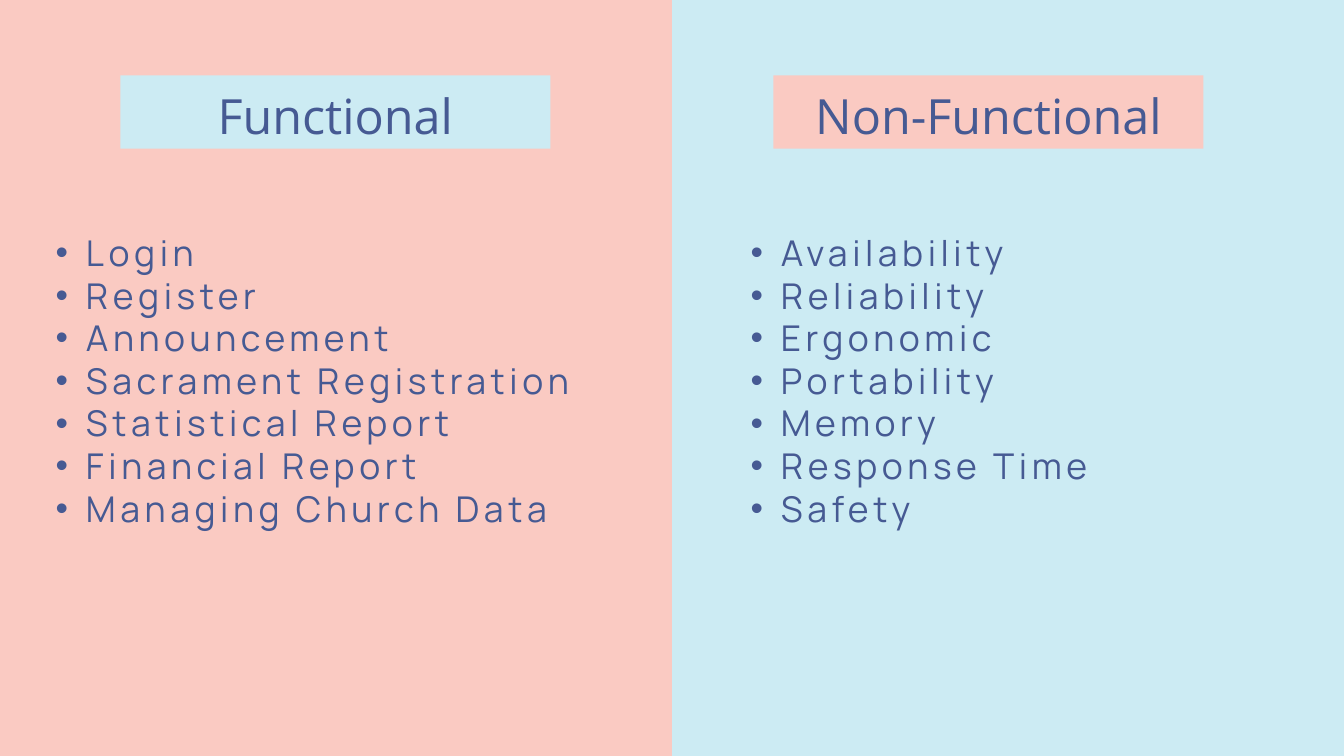
from lxml.etree import SubElement
from pptx import Presentation
from pptx.dml.color import RGBColor
from pptx.enum.shapes import MSO_SHAPE
from pptx.enum.text import MSO_ANCHOR, MSO_AUTO_SIZE, PP_ALIGN
from pptx.oxml.ns import qn
from pptx.util import Inches, Pt

PINK, BLUE, INK = "FACAC2", "CCEBF3", "465A93"
HEAD = {"name": "Open Sans", "size": Pt(52)}
ITEM = {"name": "Manrope", "size": Pt(38)}
FRAME = {
    "margin_left": 0, "margin_top": 0, "margin_right": 0, "margin_bottom": 0,
    "word_wrap": True, "auto_size": MSO_AUTO_SIZE.SHAPE_TO_FIT_TEXT,
    "vertical_anchor": MSO_ANCHOR.TOP,
}


def color(code):
    return RGBColor.from_string(code)


def apply(item, style):
    for name, value in style.items():
        setattr(item, name, value)


def add_rect(slide, box, code):
    rect = slide.shapes.add_shape(MSO_SHAPE.RECTANGLE, *map(Inches, box))
    rect.shadow.inherit = False
    rect.fill.solid()
    rect.fill.fore_color.rgb = color(code)
    rect.line.fill.background()


def add_text(slide, box, lines, style, lead, align):
    frame = slide.shapes.add_textbox(*map(Inches, box)).text_frame
    apply(frame, FRAME)
    for index, line in enumerate(lines):
        para = frame.paragraphs[0] if index == 0 else frame.add_paragraph()
        apply(para, {"alignment": align, "line_spacing": Pt(lead)})
        run = para.add_run()
        run.text = line
        apply(run.font, style)
        run.font.color.rgb = color(INK)
    return frame


def add_title(slide, box, title, wide, code):
    left, top, width, height = box
    add_rect(slide, box, code)
    spot = (left + (width - wide) / 2, top + 0.01, wide, 0.97)
    add_text(slide, spot, [title], HEAD, 72.8, PP_ALIGN.CENTER)


def add_list(slide, box, items):
    frame = add_text(slide, box, items, ITEM, 45.6, PP_ALIGN.LEFT)
    for para in frame.paragraphs:
        para.level = 1
        props = para._p.get_or_add_pPr()
        props.set("marL", str(Inches(0.9)))
        props.set("indent", str(Inches(-0.45)))
        SubElement(props, qn("a:buFont")).set("typeface", "Arial")
        SubElement(props, qn("a:buChar")).set("char", "•")
        para.runs[0].font._element.set("spc", "490")


def add_panel(slide, box, code, tag, wide, title, inset, span, items):
    left, top, width, height = box
    add_title(slide, (left + tag, top + 1.12, 6.4, 1.09), title, wide, code)
    add_list(slide, (left + inset, top + 3.44, span, 4.43), items)


def main():
    deck = Presentation()
    apply(deck, {"slide_width": Inches(20), "slide_height": Inches(11.25)})
    slide = deck.slides.add_slide(deck.slide_layouts[6])
    back = slide.background.fill
    back.solid()
    back.fore_color.rgb = color(BLUE)
    half = (0, 0, 10, 11.25)
    add_rect(slide, half, PINK)
    add_panel(slide, half, BLUE, 1.79, 4.01, "Functional", 0.38, 9.23, [
        "Login", "Register", "Announcement", "Sacrament Registration",
        "Statistical Report", "Financial Report", "Managing Church Data",
    ])
    other = (10, 0, 10, 11.25)
    add_panel(slide, other, PINK, 1.51, 5.62, "Non-Functional", 0.72, 8.98, [
        "Availability", "Reliability", "Ergonomic", "Portability",
        "Memory", "Response Time", "Safety",
    ])
    deck.save("out.pptx")


if __name__ == "__main__":
    main()
